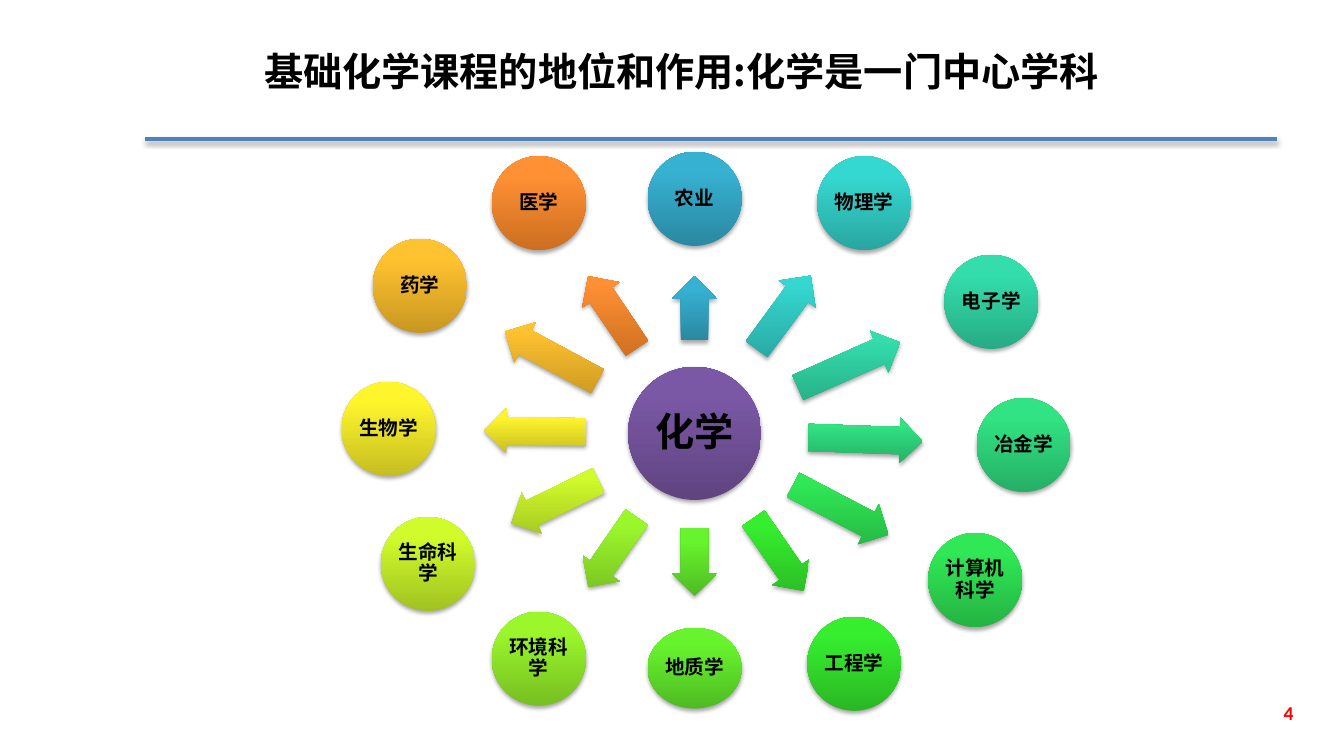
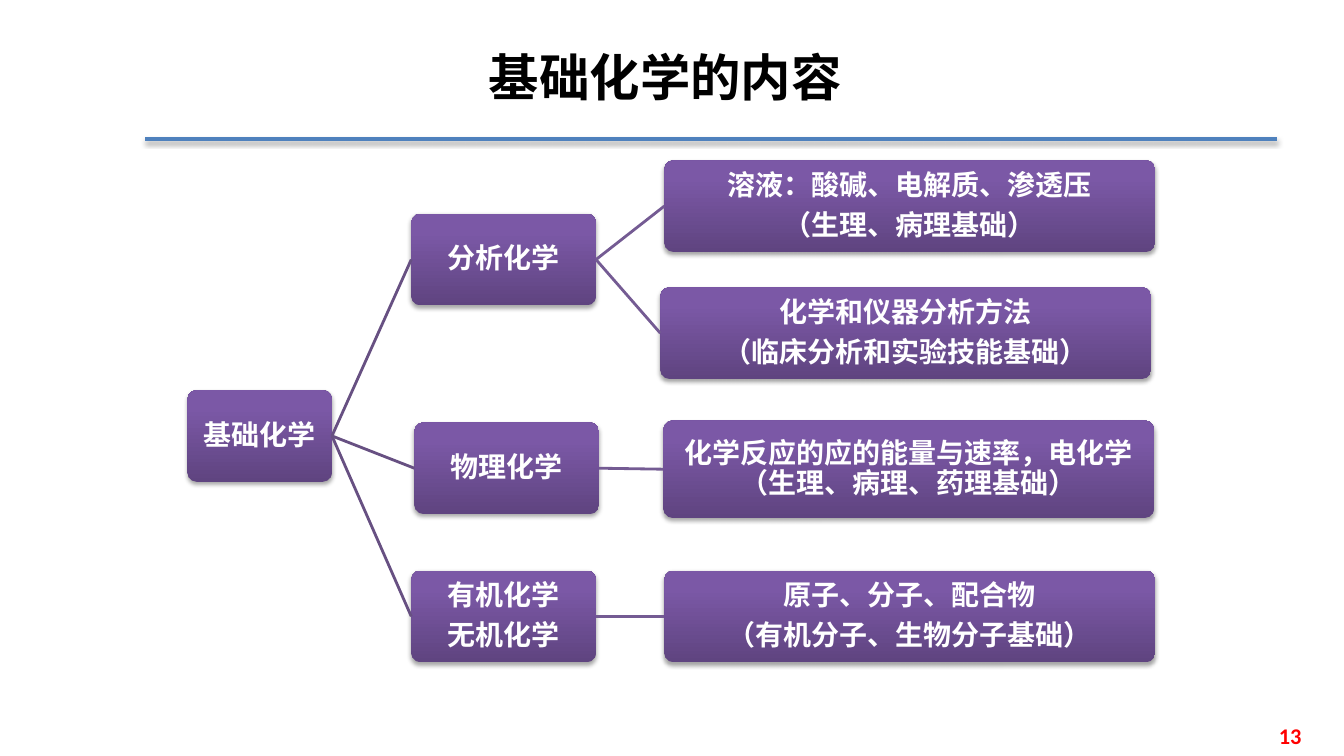
import math
from lxml import etree
from pptx import Presentation
from pptx import util as u
from pptx.dml.color import RGBColor
from pptx.enum import shapes, text
from pptx.oxml.ns import qn

COLORS = {
    "rule": "4F81BD", "ink": "000000", "white": "FFFFFF", "number": "FF0000",
    "trunk": "675082", "branch": "745B93",
}
PURPLE = ("5F4480", "7B58A6")

deck = Presentation()
deck.slide_width, deck.slide_height = u.Inches(40 / 3), u.Inches(7.5)
COL, ROW = deck.slide_width / 100, deck.slide_height / 100


def cast_shadow(item):
    props = item._element.spPr
    effects = props.find(qn("a:effectLst"))
    if effects is None:
        effects = etree.SubElement(props, qn("a:effectLst"))
    shadow = etree.SubElement(effects, qn("a:outerShdw"), blurRad="40000",
                              dist="23000", dir="5400000", rotWithShape="0")
    color = etree.SubElement(shadow, qn("a:srgbClr"), val=COLORS["ink"])
    etree.SubElement(color, qn("a:alpha"), val="35000")


def add_block(page, kind, frame, shades, label="", size=20, ink="white", font="Calibri", inset=0.01):
    left, top, width, height = frame
    box = page.shapes.add_shape(kind, int(left * COL), int(top * ROW),
                                int(width * COL), int(height * ROW))
    box.fill.gradient()
    box.fill.gradient_angle = 90
    for stop, shade, position in zip(box.fill.gradient_stops, shades, (0, 0.8)):
        stop.color.rgb = RGBColor.from_string(shade)
        stop.position = position
    box._element.spPr.find(qn("a:gradFill")).set("rotWithShape", "0")
    box.line.fill.background()
    box.shadow.inherit = False
    cast_shadow(box)
    if label:
        frame = box.text_frame
        frame.word_wrap = True
        frame.vertical_anchor = text.MSO_ANCHOR.MIDDLE
        frame.margin_left = frame.margin_right = u.Inches(inset)
        frame.margin_top = frame.margin_bottom = u.Inches(inset)
        frame.text = label
        for para in frame.paragraphs:
            para.alignment = text.PP_ALIGN.CENTER
            para.line_spacing = 0.9
            para.font.size, para.font.bold, para.font.name = u.Pt(size), True, font
            para.font.color.rgb = RGBColor.from_string(COLORS[ink])
        for para in frame.paragraphs[:-1]:
            para.space_after = u.Pt(size * 0.35)
    return box


PAGES = [
    ("基础化学课程的地位和作用:化学是一门中心学科", "Noto Sans CJK SC", 28,
     (16.95, 3.6, 67.5, 11.6), "4", 14, (73.65, 91.6, 23.33, 5.33)),
    ("基础化学的内容", "Times New Roman", 36,
     (15.75, 3.73, 67.5, 12.67), "13", 16, (80.1, 94.67, 17.48, 5.33)),
]
pages = []
for title, title_font, title_size, title_frame, number, number_size, number_frame in PAGES:
    page = deck.slides.add_slide(deck.slide_layouts[5])
    pages.append(page)
    rule = page.shapes.add_connector(shapes.MSO_CONNECTOR.STRAIGHT, int(10.8 * COL),
                                     int(18.4 * ROW), int(95.03 * COL), int(18.4 * ROW))
    rule.line.width = u.Pt(3)
    rule.line.color.rgb = RGBColor.from_string(COLORS["rule"])
    cast_shadow(rule)
    number_box = page.shapes.add_textbox(0, 0, 0, 0)
    for box, words, frame, font, size, ink, align in (
        (page.shapes.title, title, title_frame, title_font, title_size, "ink", text.PP_ALIGN.CENTER),
        (number_box, number, number_frame, "Calibri", number_size, "number", text.PP_ALIGN.RIGHT),
    ):
        left, top, width, height = frame
        box.left, box.top = int(left * COL), int(top * ROW)
        box.width, box.height = int(width * COL), int(height * ROW)
        box.text_frame.text = words
        box.text_frame.word_wrap = True
        box.text_frame.auto_size = text.MSO_AUTO_SIZE.NONE
        box.text_frame.vertical_anchor = text.MSO_ANCHOR.MIDDLE
        para = box.text_frame.paragraphs[0]
        para.alignment = align
        span = para.runs[0]
        span.font.name, span.font.size, span.font.bold = font, u.Pt(size), True
        span.font.color.rgb = RGBColor.from_string(COLORS[ink])

wheel_page, tree_page = pages

HUB_X, HUB_Y, HUB_SIZE = 51.68, 57.33, 9.9
DISC_SIZE, ARROW_SIZE = 7, 3.38
ASPECT = COL / ROW
FIELDS = [
    ("农业", 51.68, 26.3, "2A88A2", "37B1D2"),
    ("物理学", 64.3, 26.87, "29A6A1", "35D8D1"),
    ("电子学", 73.76, 39.93, "27AB84", "33DDAC"),
    ("冶金学", 76.16, 58.87, "26AF65", "31E383"),
    ("计算机科学", 72.56, 76.73, "25B342", "30E856"),
    ("工程学", 63.56, 87.8, "2AB724", "36EE2E"),
    ("地质学", 51.68, 88.4, "4FBB23", "67F32D"),
    ("环境科学", 40.09, 87.13, "77BF22", "9BF72C"),
    ("生命科学", 31.84, 74.6, "A1C221", "D1FC2B"),
    ("生物学", 28.91, 56.73, "C6BE21", "FFF52C"),
    ("药学", 31.24, 37.8, "C99721", "FFC230"),
    ("医学", 40.09, 26.87, "CC6E20", "FF9034"),
]
add_block(wheel_page, shapes.MSO_SHAPE.OVAL,
          (HUB_X - HUB_SIZE / 2, HUB_Y - HUB_SIZE * ASPECT / 2, HUB_SIZE, HUB_SIZE * ASPECT),
          PURPLE, "化学", 28, "ink", inset=0.04)
for field, x, y, dark, light in FIELDS:
    disc_height = 6 if field == "地质学" else DISC_SIZE
    across, down = x - HUB_X, (y - HUB_Y) / ASPECT
    angle = math.atan2(down, across)
    gap = math.hypot(across, down) - HUB_SIZE / 2 - disc_height / 2
    length = 0.53 * gap
    reach = HUB_SIZE / 2 + 0.22 * gap + length / 2
    arrow_x = HUB_X + reach * math.cos(angle)
    arrow_y = HUB_Y + reach * math.sin(angle) * ASPECT
    arrow = add_block(wheel_page, shapes.MSO_SHAPE.RIGHT_ARROW,
                      (arrow_x - length / 2, arrow_y - ARROW_SIZE * ASPECT / 2,
                       length, ARROW_SIZE * ASPECT), (dark, light))
    arrow.adjustments[0], arrow.adjustments[1] = 0.6, 0.5
    arrow.rotation = math.degrees(angle) % 360
    add_block(wheel_page, shapes.MSO_SHAPE.OVAL,
              (x - DISC_SIZE / 2, y - disc_height * ASPECT / 2, DISC_SIZE, disc_height * ASPECT),
              (dark, light), field, 14, "ink", inset=0.02)

WIDTHS = {"root": 10.75, "branch": 13.75, "leaf": 36.53}
TOPICS = [
    ("root", None, 13.95, 51.6, 12.13, "基础化学"),
    ("branch", 0, 30.6, 28.27, 12.13, "分析化学"),
    ("leaf", 1, 49.43, 21.2, 12.13, "溶液：酸碱、电解质、渗透压\n（生理、病理基础）"),
    ("leaf", 1, 49.13, 38, 12.13, "化学和仪器分析方法\n（临床分析和实验技能基础）"),
    ("branch", 0, 30.83, 55.87, 12.13, "物理化学"),
    ("leaf", 4, 49.35, 55.6, 12.93, "化学反应的应的能量与速率，电化学（生理、病理、药理基础）"),
    ("branch", 0, 30.6, 75.47, 12.13, "有机化学\n无机化学"),
    ("leaf", 6, 49.43, 75.47, 12.13, "原子、分子、配合物\n（有机分子、生物分子基础）"),
]
topic_boxes = []
for level, parent, left, top, height, label in TOPICS:
    box = add_block(tree_page, shapes.MSO_SHAPE.ROUNDED_RECTANGLE,
                    (left, top, WIDTHS[level], height), PURPLE, label,
                    font="Arial" if level == "root" else "Calibri")
    box.adjustments[0] = 0.1
    topic_boxes.append(box)
    if parent is not None:
        link = tree_page.shapes.add_connector(shapes.MSO_CONNECTOR.STRAIGHT, 0, 0, 0, 0)
        link.begin_connect(topic_boxes[parent], 3)
        link.end_connect(box, 1)
        link.line.width = u.Pt(2)
        link.line.color.rgb = RGBColor.from_string(COLORS["trunk" if level == "branch" else "branch"])
        etree.SubElement(link._element.spPr, qn("a:effectLst"))

deck.save("out.pptx")
